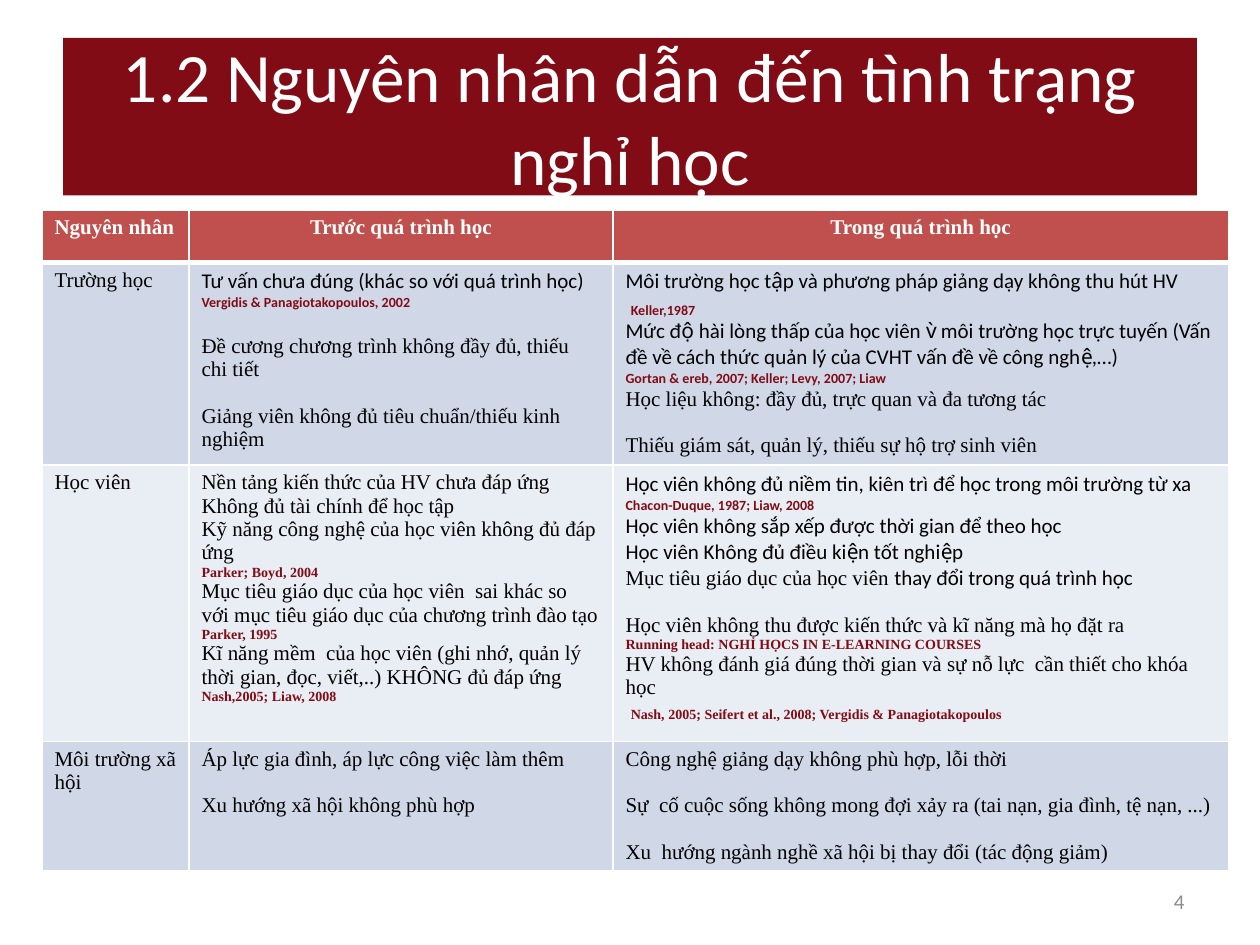
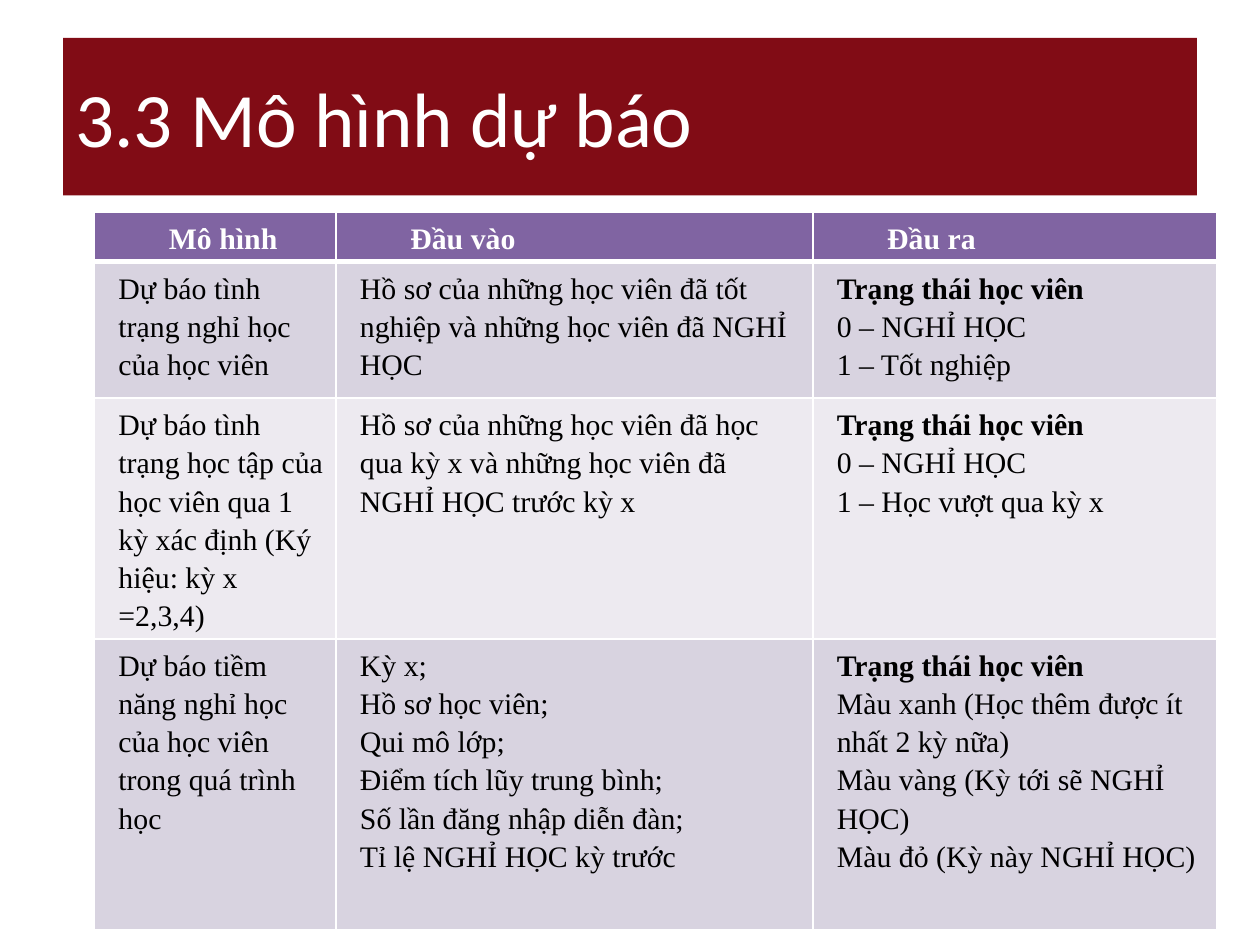
from dataclasses import dataclass, replace
from typing import Optional

import pptx
import pptx.dml.color
import pptx.enum.text
import pptx.oxml
import pptx.oxml.ns
import pptx.presentation
import pptx.slide
import pptx.table
import pptx.text.text
import pptx.util
from lxml import etree

Pt = pptx.util.Pt
Align = pptx.enum.text.PP_ALIGN
Anchor = pptx.enum.text.MSO_ANCHOR

# Shared colours
MAROON = "810C15"
WHITE = "FFFFFF"
BLACK = "000000"
GRAY = "8C8C8C"

# Vietnamese tone marks as combining characters: grave, acute, tilde, hook, dot below
VOWELS = "aăâeêioôơuưy"
TONED_VOWELS = {
    0x300: "àằầèềìòồờùừỳ",
    0x301: "áắấéếíóốớúứý",
    0x303: "ãẵẫẽễĩõỗỡũữỹ",
    0x309: "ảẳẩẻểỉỏổởủửỷ",
    0x323: "ạặậẹệịọộợụựỵ",
}
COMBINING = {
    ord(toned): vowel + chr(mark)
    for mark, row in TONED_VOWELS.items()
    for toned, vowel in zip(row + row.upper(), VOWELS + VOWELS.upper())
}


@dataclass(frozen=True)
class Style:
    font: str
    size: float
    color: str = BLACK
    bold: bool = False


@dataclass(frozen=True)
class Line:
    text: str
    style: Style
    gap: float = 0
    indent: float = 0
    align: Align = Align.LEFT
    spacing: float = 1.0
    tail: Optional[tuple[str, Style]] = None


@dataclass(frozen=True)
class Grid:
    left: float
    top: float
    columns: list[float]
    rows: list[float]
    header_fill: str
    band_fills: tuple[str, str]
    margin_x: float
    margin_y: float
    combining_tones: bool


# Shared text styles
SERIF = Style("Times New Roman", 12)
SANS = Style("Calibri", 12)
SERIF_CITE = Style("Times New Roman", 8, MAROON, True)
SANS_CITE = Style("Calibri", 8, MAROON, True)
CAUSE_HEADER = replace(SERIF, color=WHITE, bold=True)
MODEL = Style("Times New Roman", 17)
MODEL_BOLD = replace(MODEL, bold=True)
MODEL_HEADER = replace(MODEL_BOLD, color=WHITE)

LINE_GAP = 13.3   # one line of 12 pt serif text
CITE_GAP = 4.2
CITE_INDENT = 3


def rgb(color: str) -> pptx.dml.color.RGBColor:
    return pptx.dml.color.RGBColor.from_string(color)


def apply_style(font: pptx.text.text.Font, style: Style) -> None:
    font.name = style.font
    font.size = Pt(style.size)
    font.bold = style.bold
    font.color.rgb = rgb(style.color)


def write_lines(frame: pptx.text.text.TextFrame, lines: list[Line],
                combining_tones: bool = False) -> None:
    tones = COMBINING if combining_tones else {}
    for index, line in enumerate(lines):
        paragraph = frame.add_paragraph() if index else frame.paragraphs[0]
        paragraph.alignment = line.align
        paragraph.space_before = Pt(line.gap)
        paragraph.line_spacing = line.spacing
        if line.indent:
            properties = paragraph._p.get_or_add_pPr()
            properties.set("marL", str(Pt(line.indent)))
            properties.set("indent", "0")
        run = paragraph.add_run()
        run.text = line.text.translate(tones)
        if line.tail:
            apply_style(run.font, line.style)
            tail_text, tail_style = line.tail
            tail_run = paragraph.add_run()
            tail_run.text = tail_text.translate(tones)
            apply_style(tail_run.font, tail_style)
        else:
            apply_style(paragraph.font, line.style)


def add_titled_slide(presentation: pptx.presentation.Presentation, title: str,
                     size: float, align: Align) -> pptx.slide.Slide:
    slide = presentation.slides.add_slide(presentation.slide_layouts[5])
    shape = slide.shapes.title
    shape.left, shape.top, shape.width, shape.height = Pt(36), Pt(21.6), Pt(648), Pt(90)
    shape.fill.solid()
    shape.fill.fore_color.rgb = rgb(MAROON)
    frame = shape.text_frame
    frame.auto_size = pptx.enum.text.MSO_AUTO_SIZE.NONE
    frame.vertical_anchor = Anchor.MIDDLE
    write_lines(frame, [Line(title, Style("Calibri", size, WHITE), align=align)], True)
    return slide


def add_page_number(slide: pptx.slide.Slide, number: str) -> None:
    box = slide.shapes.add_textbox(Pt(516), Pt(500.4), Pt(168), Pt(28.8))
    box.text_frame.word_wrap = True
    box.text_frame.vertical_anchor = Anchor.MIDDLE
    write_lines(box.text_frame, [Line(number, replace(SANS, color=GRAY), align=Align.RIGHT)])


def set_borders(cell: pptx.table._Cell, top: float, bottom: float) -> None:
    properties = cell._tc.get_or_add_tcPr()
    qn = pptx.oxml.ns.qn
    for side, width in (("L", 1), ("R", 1), ("T", top), ("B", bottom)):
        border = etree.SubElement(properties, qn(f"a:ln{side}"), w=str(Pt(width)))
        fill = etree.SubElement(border, qn("a:solidFill"))
        etree.SubElement(fill, qn("a:srgbClr"), val=WHITE)


def add_grid(slide: pptx.slide.Slide, grid: Grid, content: list[list[list[Line]]]) -> None:
    table = slide.shapes.add_table(
        len(grid.rows), len(grid.columns), Pt(grid.left), Pt(grid.top),
        Pt(sum(grid.columns)), Pt(sum(grid.rows))).table
    table.horz_banding = False
    for column, width in zip(table.columns, grid.columns):
        column.width = Pt(width)
    for row, height in zip(table.rows, grid.rows):
        row.height = Pt(height)
    for row_index, row_content in enumerate(content):
        fill = grid.band_fills[(row_index - 1) % 2] if row_index else grid.header_fill
        for column_index, lines in enumerate(row_content):
            cell = table.cell(row_index, column_index)
            cell.margin_left = cell.margin_right = Pt(grid.margin_x)
            cell.margin_top = cell.margin_bottom = Pt(grid.margin_y)
            set_borders(cell, top=3 if row_index == 1 else 1, bottom=1 if row_index else 3)
            cell.fill.solid()
            cell.fill.fore_color.rgb = rgb(fill)
            write_lines(cell.text_frame, lines, grid.combining_tones)


def serif(text: str, gap: float = 0) -> Line:
    return Line(text, SERIF, gap)


def sans(text: str) -> Line:
    return Line(text, SANS)


def model(text: str, style: Style = MODEL) -> Line:
    return Line(text, style, indent=36 if style == MODEL_HEADER else 7.2, spacing=1.15)


def model_cell(*texts: str) -> list[Line]:
    return [model(text) for text in texts]


def status_cell(*texts: str) -> list[Line]:
    return [model("Trạng thái học viên", MODEL_BOLD), *model_cell(*texts)]


# Causes of dropping out
CAUSES = [
    [
        [Line("Nguyên nhân", CAUSE_HEADER)],
        [Line("Trước quá trình học", CAUSE_HEADER, align=Align.CENTER)],
        [Line("Trong quá trình học", CAUSE_HEADER, align=Align.CENTER)],
    ],
    [
        [serif("Trường học")],
        [
            sans("Tư vấn chưa đúng (khác so với quá trình học)"),
            Line("Vergidis & Panagiotakopoulos, 2002", SANS_CITE),
            serif("Đề cương chương trình không đầy đủ, thiếu chi tiết", LINE_GAP),
            serif("Giảng viên không đủ tiêu chuẩn/thiếu kinh nghiệm", LINE_GAP),
        ],
        [
            sans("Môi trường học tập và phương pháp giảng dạy không thu hút HV"),
            Line("Keller,1987", SANS_CITE, CITE_GAP, CITE_INDENT),
            sans("Mức độ hài lòng thấp của học viên v̀ môi trường học trực tuyến "
                 "(Vấn đề về cách thức quản lý của CVHT vấn đề về công nghệ,…)"),
            Line("Gortan & ereb, 2007; Keller; Levy, 2007; Liaw", SANS_CITE),
            serif("Học liệu không: đầy đủ, trực quan và đa tương tác"),
            serif("Thiếu giám sát, quản lý, thiếu sự hộ trợ sinh viên", LINE_GAP),
        ],
    ],
    [
        [serif("Học viên")],
        [
            serif("Nền tảng kiến thức của HV chưa đáp ứng"),
            serif("Không đủ tài chính để học tập"),
            serif("Kỹ năng công nghệ của học viên không đủ đáp ứng"),
            Line("Parker; Boyd, 2004", SERIF_CITE),
            serif("Mục tiêu giáo dục của học viên  sai khác so với mục tiêu giáo dục "
                  "của chương trình đào tạo"),
            Line("Parker, 1995", SERIF_CITE),
            serif("Kĩ năng mềm  của học viên (ghi nhớ, quản lý thời gian, đọc, viết,..) "
                  "KHÔNG đủ đáp ứng"),
            Line("Nash,2005; Liaw, 2008", SERIF_CITE),
        ],
        [
            Line("Học viên không đủ niềm tin, kiên trì để học trong môi trường từ xa ", SANS,
                 tail=("Chacon-Duque, 1987; Liaw, 2008", SANS_CITE)),
            sans("Học viên không sắp xếp được thời gian để theo học"),
            sans("Học viên Không đủ điều kiện tốt nghiệp"),
            Line("Mục tiêu giáo dục của học viên ", SERIF,
                 tail=("thay đổi trong quá trình học", SANS)),
            serif("Học viên không thu được kiến thức và kĩ năng mà họ đặt ra", LINE_GAP),
            Line("Running head: NGHỈ HỌCS IN E-LEARNING COURSES", SERIF_CITE),
            serif("HV không đánh giá đúng thời gian và sự nỗ lực  cần thiết cho khóa học"),
            Line("Nash, 2005; Seifert et al., 2008; Vergidis & Panagiotakopoulos",
                 SERIF_CITE, CITE_GAP, CITE_INDENT),
        ],
    ],
    [
        [serif("Môi trường xã hội")],
        [
            serif("Áp lực gia đình, áp lực công việc làm thêm"),
            serif("Xu hướng xã hội không phù hợp", LINE_GAP),
        ],
        [
            serif("Công nghệ giảng dạy không phù hợp, lỗi thời"),
            serif("Sự  cố cuộc sống không mong đợi xảy ra (tai nạn, gia đình, tệ nạn, ...)",
                  LINE_GAP),
            serif("Xu  hướng ngành nghề xã hội bị thay đổi (tác động giảm)", LINE_GAP),
        ],
    ],
]
CAUSE_GRID = Grid(24, 120, [84, 242.3, 351.7], [30, 115.7, 158, 73.3],
                  "C0504D", ("D0D8E8", "E9EDF4"), 7.2, 3.6, True)

# Forecast models
MODELS = [
    [[model(text, MODEL_HEADER)] for text in ("Mô hình", "Đầu vào", "Đầu ra")],
    [
        model_cell("Dự báo tình trạng nghỉ học của học viên"),
        model_cell("Hồ sơ của những học viên đã tốt nghiệp và những học viên đã NGHỈ HỌC"),
        status_cell("0 – NGHỈ HỌC", "1 – Tốt nghiệp"),
    ],
    [
        model_cell("Dự báo tình trạng học tập của học viên qua 1 kỳ xác định "
                   "(Ký hiệu: kỳ x =2,3,4)"),
        model_cell("Hồ sơ của những học viên đã học qua kỳ x và những học viên đã "
                   "NGHỈ HỌC trước kỳ x"),
        status_cell("0 – NGHỈ HỌC", "1 – Học vượt qua kỳ x"),
    ],
    [
        model_cell("Dự báo tiềm năng nghỉ học của học viên trong quá trình học"),
        model_cell("Kỳ x;", "Hồ sơ học viên;", "Qui mô lớp;", "Điểm tích lũy trung bình;",
                   "Số lần đăng nhập diễn đàn;", "Tỉ lệ NGHỈ HỌC kỳ trước"),
        status_cell("Màu xanh (Học thêm được ít nhất 2 kỳ nữa)",
                    "Màu vàng (Kỳ tới sẽ NGHỈ HỌC)", "Màu đỏ (Kỳ này NGHỈ HỌC)"),
    ],
]
MODEL_GRID = Grid(54, 121, [138, 272.5, 231], [28, 78, 137, 166],
                  "8064A2", ("D8D3E0", "EDEAF0"), 6.5, 3.4, False)


def main() -> None:
    presentation = pptx.Presentation()
    presentation.slide_width, presentation.slide_height = Pt(720), Pt(540)

    causes_slide = add_titled_slide(
        presentation, "1.2 Nguyên nhân dẫn đến tình trạng nghỉ học", 39.6, Align.CENTER)
    add_grid(causes_slide, CAUSE_GRID, CAUSES)
    add_page_number(causes_slide, "4")

    models_slide = add_titled_slide(presentation, "3.3 Mô hình dự báo", 44, Align.LEFT)
    add_grid(models_slide, MODEL_GRID, MODELS)

    presentation.save("out.pptx")


if __name__ == "__main__":
    main()
